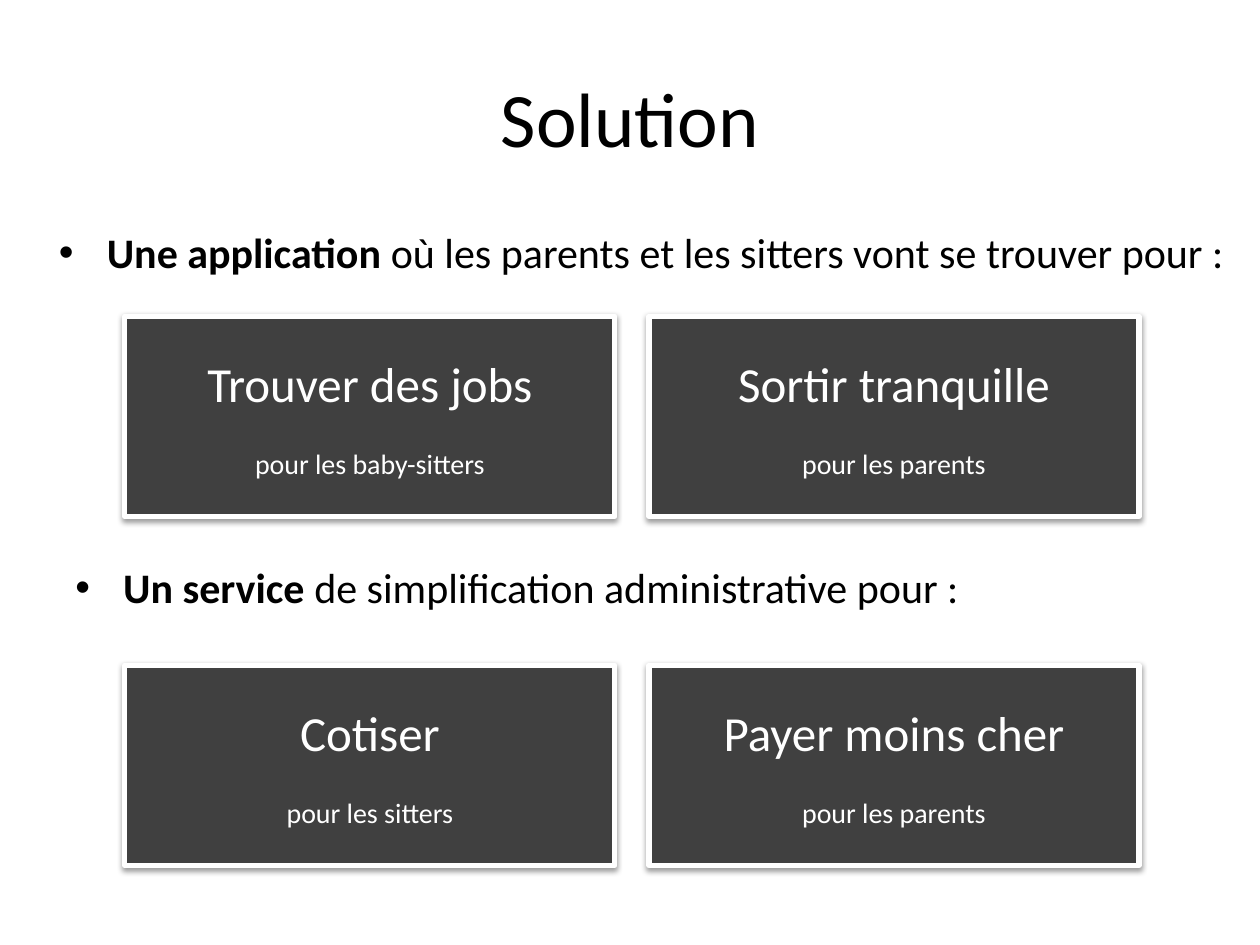
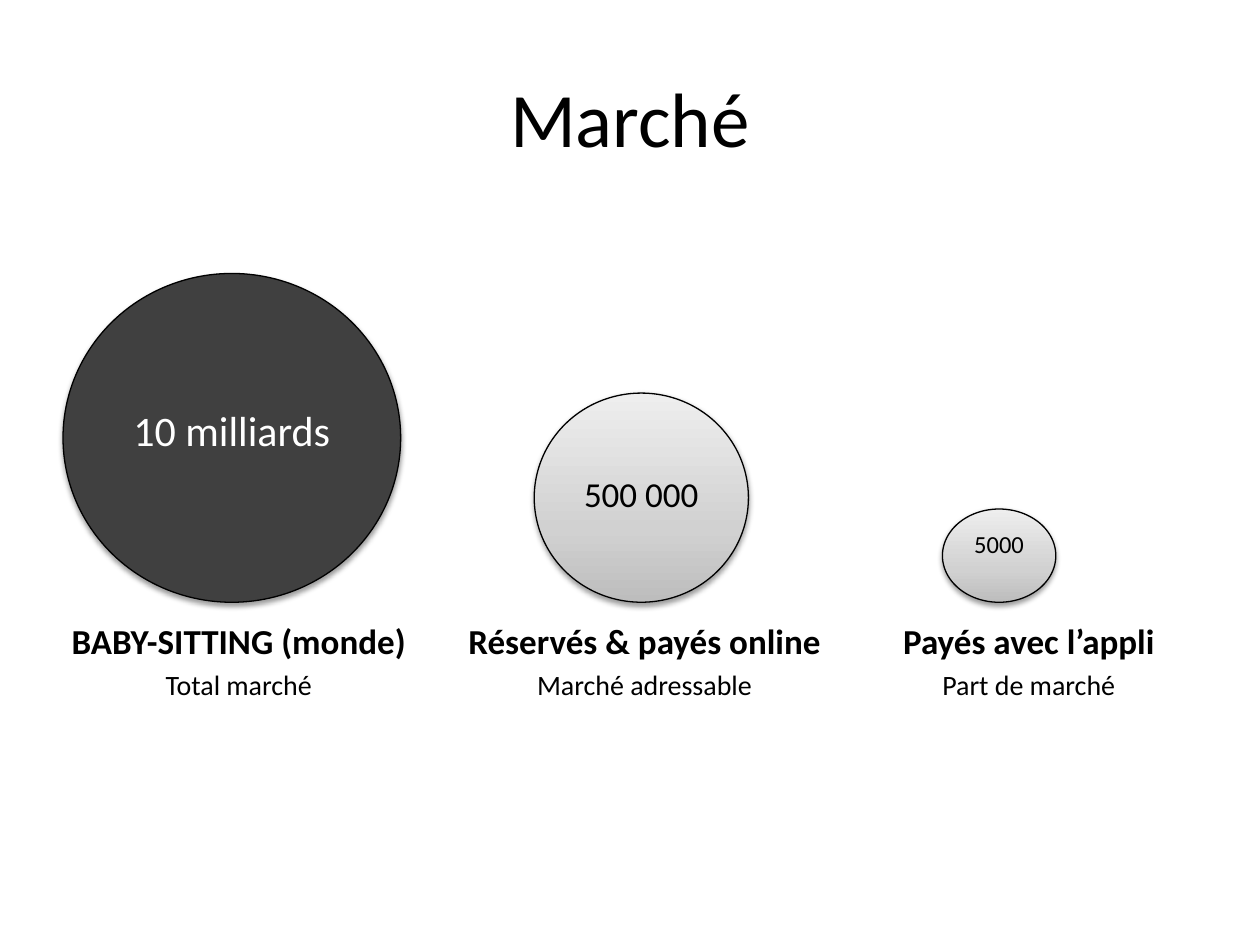
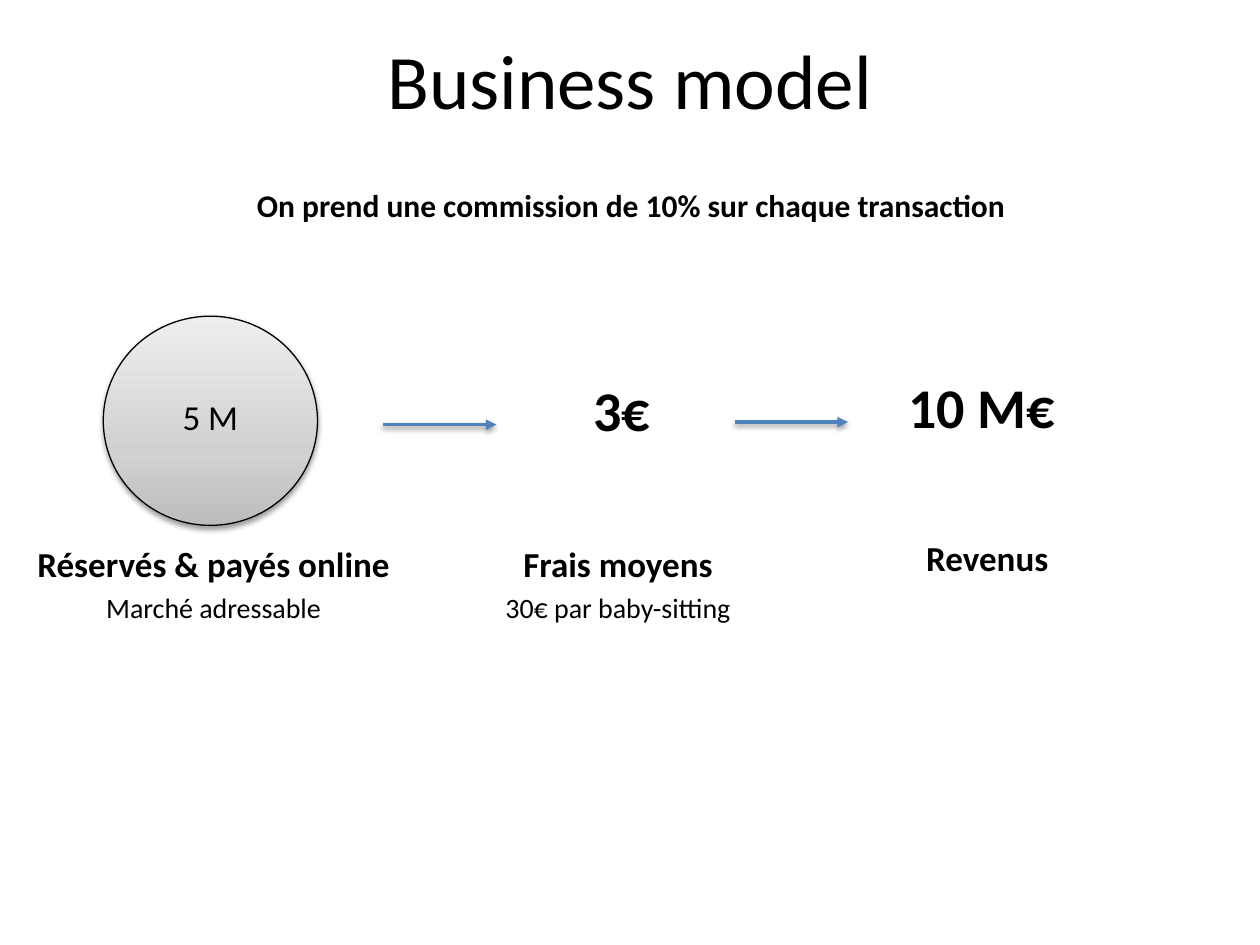
from dataclasses import dataclass

from pptx import Presentation
from pptx import util as u
from pptx.dml.color import RGBColor
from pptx.enum import shapes, text
from pptx.oxml.ns import qn
from lxml import etree


@dataclass(frozen=True)
class Theme:
    font: str = "Calibri"
    ink: str = "000000"
    paper: str = "FFFFFF"
    dark: str = "404040"
    arrow: str = "4F81BD"
    silver: tuple = ((0, "BDBDBD"), (35, "D1D1D1"), (100, "EEEEEE"))
    title: int = 44
    figure: int = 32
    card: int = 28
    lead: int = 24
    label: int = 20
    statement: int = 18
    note: int = 16
    small: int = 14


THEME = Theme()
CENTER = text.PP_ALIGN.CENTER
LEFT = text.PP_ALIGN.LEFT


def rgb(color):
    return RGBColor.from_string(color)


def add_xml(parent, tag, **attributes):
    child = etree.SubElement(parent, qn(tag))
    for name, value in attributes.items():
        child.set(name, str(value))
    return child


def write(frame, words, size, lead="", color=THEME.ink, bold=False,
          align=CENTER, before=0, bullet=False):
    """Add a paragraph, using the empty first one if there is one; lead is a bold start."""
    para = frame.paragraphs[0]
    if para.runs:
        para = frame.add_paragraph()
    para.alignment = align
    if before:
        para.space_before = u.Pt(before)
    if bullet:
        props = para._p.get_or_add_pPr()
        props.set("marL", str(u.Inches(0.38)))
        props.set("indent", str(u.Inches(-0.38)))
        add_xml(props, "a:buFont", typeface="Arial")
        add_xml(props, "a:buChar", char="•")
    for part, heavy in ((lead, True), (words, bold)):
        if part:
            span = para.add_run()
            span.text = part
            span.font.name = THEME.font
            span.font.size = u.Pt(size)
            span.font.bold = heavy
            span.font.color.rgb = rgb(color)


def add_page(deck, title, top=0.3):
    page = deck.slides.add_slide(deck.slide_layouts[5])
    holder = page.shapes.title
    holder.left, holder.top = u.Inches(0.5), u.Inches(top)
    holder.width, holder.height = u.Inches(9), u.Inches(1.25)
    holder.text_frame.vertical_anchor = text.MSO_ANCHOR.MIDDLE
    write(holder.text_frame, title, THEME.title)
    return page


def add_box(page, left, top, width, height):
    box = page.shapes.add_textbox(*map(u.Inches, (left, top, width, height)))
    box.text_frame.word_wrap = True
    return box.text_frame


def add_shadow(props):
    effects = props.find(qn("a:effectLst"))
    if effects is None:
        effects = add_xml(props, "a:effectLst")
    shadow = add_xml(effects, "a:outerShdw", blurRad=u.Pt(3.1), dist=u.Pt(1.6),
                     dir=90 * 60000, rotWithShape=0)
    color = add_xml(shadow, "a:srgbClr", val=THEME.ink)
    add_xml(color, "a:alpha", val=38000)


def fill_silver(shape):
    shape.fill.gradient()
    shape.fill.gradient_angle = 90
    stops = shape._element.spPr.find(".//" + qn("a:gsLst"))
    stops.clear()
    for position, color in THEME.silver:
        stop = add_xml(stops, "a:gs", pos=position * 1000)
        add_xml(stop, "a:srgbClr", val=color)


def add_figure(page, kind, place, line_color, line_width, dark=True):
    shape = page.shapes.add_shape(kind, *map(u.Inches, place))
    if dark:
        shape.fill.solid()
        shape.fill.fore_color.rgb = rgb(THEME.dark)
    else:
        fill_silver(shape)
    shape.line.color.rgb = rgb(line_color)
    shape.line.width = u.Pt(line_width)
    shape.shadow.inherit = False
    add_shadow(shape._element.spPr)
    return shape.text_frame


def add_card(page, left, top, heading, audience):
    frame = add_figure(page, shapes.MSO_SHAPE.RECTANGLE, (left, top, 3.89, 1.59),
                       THEME.paper, 3)
    frame.vertical_anchor = text.MSO_ANCHOR.MIDDLE
    write(frame, heading, THEME.card, color=THEME.paper)
    write(frame, audience, THEME.note, color=THEME.paper, before=19.5)


def add_card_row(page, top, cards):
    for column, (heading, audience) in enumerate(cards):
        add_card(page, 0.99 + column * 4.16, top, heading, audience)


def add_circle(page, place, amount, size, inset, dark=False):
    """Draw a market circle; inset is the space above the amount."""
    frame = add_figure(page, shapes.MSO_SHAPE.OVAL, place, THEME.ink, 0.75, dark)
    frame.vertical_anchor = text.MSO_ANCHOR.TOP
    frame.margin_top = u.Inches(inset)
    write(frame, amount, size, color=THEME.paper if dark else THEME.ink)


def add_caption(page, left, top, label, note=""):
    frame = add_box(page, left, top, 3.05, 0.87)
    write(frame, label, THEME.label, bold=True)
    if note:
        write(frame, note, THEME.note, before=3)


def add_bullet(page, left, top, lead, words):
    frame = add_box(page, left, top, 9.5, 0.65)
    write(frame, words, THEME.lead, lead=lead, align=LEFT, bullet=True)


def add_arrow(page, left, top):
    arrow = page.shapes.add_connector(
        shapes.MSO_CONNECTOR.STRAIGHT,
        *map(u.Inches, (left, top, left + 0.9, top)))
    arrow.line.color.rgb = rgb(THEME.arrow)
    arrow.line.width = u.Pt(2)
    add_xml(arrow.line._get_or_add_ln(), "a:tailEnd", type="triangle")
    add_shadow(arrow._element.spPr)


def add_solution(deck):
    page = add_page(deck, "Solution")
    add_bullet(page, 0.37, 1.75, "Une application",
               " où les parents et les sitters vont se trouver pour :")
    add_card_row(page, 2.51, (("Trouver des jobs", "pour les baby-sitters"),
                              ("Sortir tranquille", "pour les parents")))
    add_bullet(page, 0.5, 4.41, "Un service ",
               "de simplification administrative pour :")
    add_card_row(page, 5.28, (("Cotiser", "pour les sitters"),
                              ("Payer moins cher", "pour les parents")))


def add_market(deck):
    page = add_page(deck, "Marché")
    add_circle(page, (0.5, 2.17, 2.68, 2.61), "10 milliards", THEME.lead, 0.66, dark=True)
    add_circle(page, (4.24, 3.12, 1.7, 1.66), "500 000", THEME.label, 0.39)
    add_circle(page, (7.48, 4.04, 0.9, 0.74), "5000", THEME.small, 0.05)
    for left, label, note in (
            (0.37, "BABY-SITTING (monde)", "Total marché"),
            (3.59, "Réservés & payés online", "Marché adressable"),
            (6.64, "Payés avec l’appli", "Part de marché")):
        add_caption(page, left, 4.87, label, note)


def add_business_model(deck):
    page = add_page(deck, "Business model", top=0)
    write(add_box(page, 1.94, 1.43, 6.19, 0.4),
          "On prend une commission de 10% sur chaque transaction",
          THEME.statement, bold=True, align=LEFT)
    add_circle(page, (0.82, 2.51, 1.7, 1.66), "5 M", THEME.label, 0.39)
    add_arrow(page, 3.04, 3.37)
    write(add_box(page, 4.41, 2.93, 1.05, 0.87), "3€", THEME.figure, bold=True)
    add_arrow(page, 5.83, 3.35)
    write(add_box(page, 6.78, 2.91, 2.02, 0.87), "10 M€", THEME.figure, bold=True)
    add_caption(page, 0.17, 4.26, "Réservés & payés online", "Marché adressable")
    add_caption(page, 3.38, 4.26, "Frais moyens", "30€ par baby-sitting")
    add_caption(page, 6.31, 4.21, "Revenus")


def main():
    deck = Presentation()
    deck.slide_width, deck.slide_height = u.Inches(10), u.Inches(7.5)
    add_solution(deck)
    add_market(deck)
    add_business_model(deck)
    deck.save("out.pptx")


if __name__ == "__main__":
    main()
